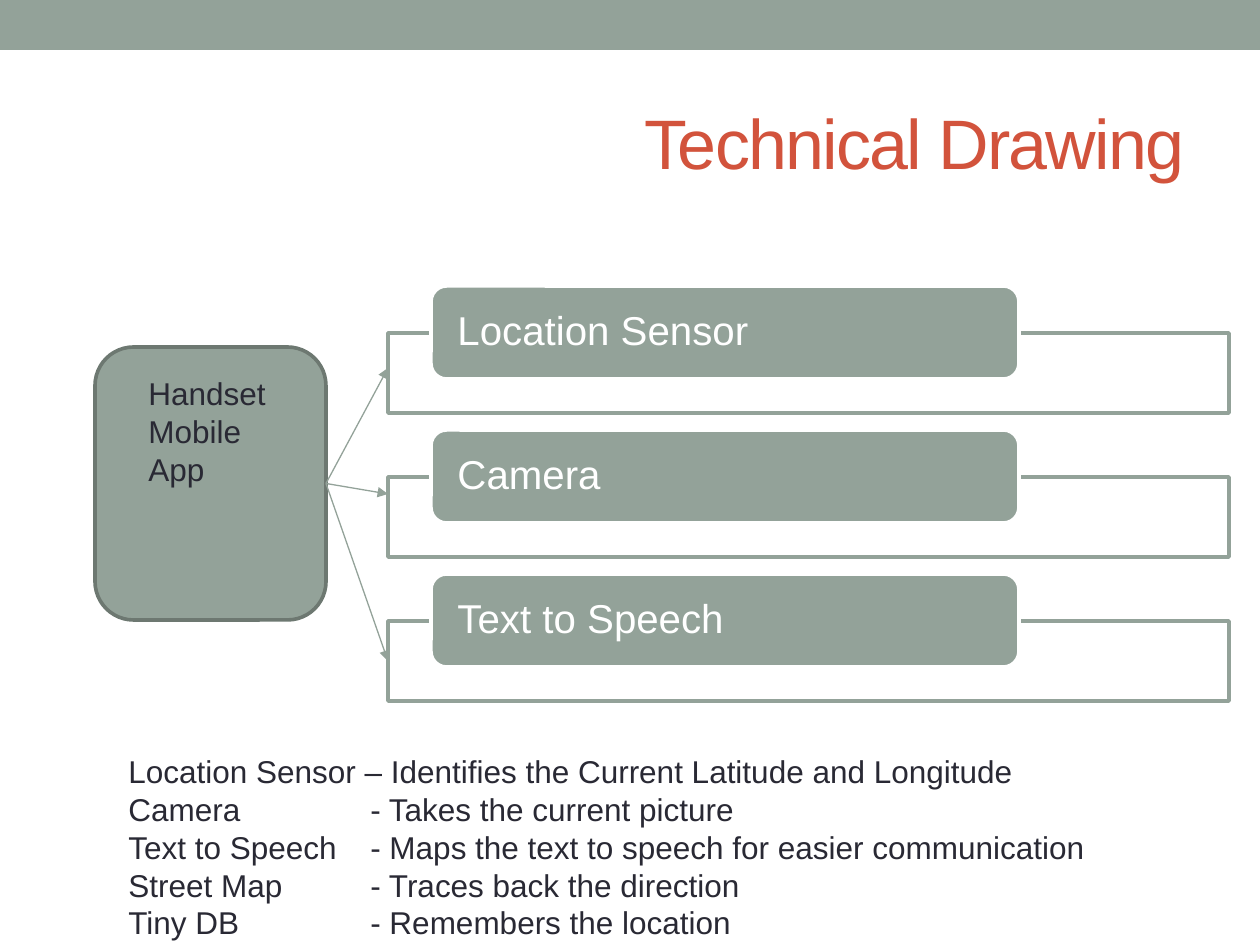
from dataclasses import dataclass

from lxml import etree
from pptx import Presentation
from pptx.dml.color import RGBColor
from pptx.enum.shapes import MSO_CONNECTOR as CONN, MSO_SHAPE as SHAPE
from pptx.enum.text import MSO_ANCHOR as ANCHOR, MSO_AUTO_SIZE as AUTO, PP_ALIGN as ALIGN
from pptx.oxml.ns import qn
from pptx.util import Emu, Pt

EMU_PER_PX = 914400 / 126
FONT = "Arial"
COLORS = {
    "sage": "93A299",
    "edge": "6D7871",
    "title": "D2533C",
    "ink": "292934",
    "white": "FFFFFF",
}


@dataclass
class Box:
    x: int
    y: int
    w: int
    h: int

    def emu(self) -> list[Emu]:
        return [px(v) for v in (self.x, self.y, self.w, self.h)]


@dataclass
class Component:
    name: str
    arrow_y: int | None  # None joins the middle of the frame's left side


COMPONENTS = [
    Component("Location Sensor", 368),
    Component("Camera", 494),
    Component("Text to Speech", None),
]
NOTES = [
    "Location Sensor – Identifies the Current Latitude and Longitude",
    "Camera\t- Takes the current picture",
    "Text to Speech\t- Maps the text to speech for easier communication",
    "Street Map\t- Traces back the direction",
    "Tiny DB\t- Remembers the location",
]
ROW_PITCH = 144


def px(value: float) -> Emu:
    return Emu(round(value * EMU_PER_PX))


def rgb(name: str) -> RGBColor:
    return RGBColor.from_string(COLORS[name])


def add_run(p, text: str, size: float, color: str):
    r = p.add_run()
    r.text = text
    r.font.name = FONT
    r.font.size = Pt(size)
    r.font.color.rgb = rgb(color)
    return r


def add_box(shapes, kind, box: Box, fill: str, line: str | None = None):
    sp = shapes.add_shape(kind, *box.emu())
    sp.shadow.inherit = False
    sp.fill.solid()
    sp.fill.fore_color.rgb = rgb(fill)
    if line:
        sp.line.color.rgb = rgb(line)
        sp.line.width = Pt(2.08)
    else:
        sp.line.fill.background()
    return sp


def add_text(shapes, box: Box, lines: list[str], tab: int | None = None) -> None:
    tf = shapes.add_textbox(*box.emu()).text_frame
    tf.word_wrap = True
    tf.auto_size = AUTO.SHAPE_TO_FIT_TEXT
    for i, line in enumerate(lines):
        p = tf.add_paragraph() if i else tf.paragraphs[0]
        if tab:
            tabs = etree.SubElement(p._p.get_or_add_pPr(), qn("a:tabLst"))
            etree.SubElement(tabs, qn("a:tab"), pos=str(px(tab)), algn="l")
        add_run(p, line, 18, "ink")


def add_component(shapes, item: Component, top: int):
    frame = add_box(shapes, SHAPE.RECTANGLE, Box(388, top, 841, 80), "white", "sage")
    fill_color = frame.fill._xPr.find(f".//{qn('a:srgbClr')}")
    etree.SubElement(fill_color, qn("a:alpha"), val="90000")

    label = add_box(shapes, SHAPE.ROUNDED_RECTANGLE, Box(431, top - 47, 588, 93), "sage", "white")
    tf = label.text_frame
    tf.word_wrap = True
    tf.vertical_anchor = ANCHOR.MIDDLE
    tf.margin_left = tf.margin_right = px(22)
    tf.margin_top = tf.margin_bottom = 0
    p = tf.paragraphs[0]
    p.alignment = ALIGN.LEFT
    p.line_spacing = 0.9
    add_run(p, item.name, 23, "white")
    return frame


def add_arrow(shapes, source, frame, arrow_y: int | None) -> None:
    end_y = frame.top + frame.height // 2 if arrow_y is None else px(arrow_y)
    cxn = shapes.add_connector(CONN.STRAIGHT, source.left + source.width,
                               source.top + source.height // 2, frame.left, end_y)
    cxn.begin_connect(source, 3)
    if arrow_y is None:
        cxn.end_connect(frame, 1)
    cxn.line.color.rgb = rgb("sage")
    cxn.line.width = Pt(0.75)
    etree.SubElement(cxn.line._get_or_add_ln(), qn("a:tailEnd"), type="triangle")
    etree.SubElement(cxn._element.spPr, qn("a:effectLst"))


def main() -> None:
    prs = Presentation()
    prs.slide_width, prs.slide_height = px(1260), px(945)
    s = prs.slides.add_slide(prs.slide_layouts[5])
    shapes = s.shapes

    # Top band and title
    add_box(shapes, SHAPE.RECTANGLE, Box(0, 0, 1260, 50), "sage")
    title = shapes.title
    title.left, title.top, title.width, title.height = Box(63, 73, 1134, 136).emu()
    title.text_frame.vertical_anchor = ANCHOR.MIDDLE
    p = title.text_frame.paragraphs[0]
    p.alignment = ALIGN.RIGHT
    r = add_run(p, "Technical Drawing", 40, "title")
    r.font._element.set("spc", "-100")

    # Mobile app
    app = add_box(shapes, SHAPE.ROUNDED_RECTANGLE, Box(95, 347, 231, 273), "sage", "edge")
    add_text(shapes, Box(136, 368, 168, 127), ["Handset Mobile App"])

    # Components, each reached by an arrow from the app
    frames = [add_component(shapes, item, 333 + i * ROW_PITCH)
              for i, item in enumerate(COMPONENTS)]
    add_text(shapes, Box(116, 746, 1144, 204), NOTES, tab=242)
    for item, frame in zip(COMPONENTS, frames):
        add_arrow(shapes, app, frame, item.arrow_y)

    prs.save("out.pptx")


if __name__ == "__main__":
    main()
